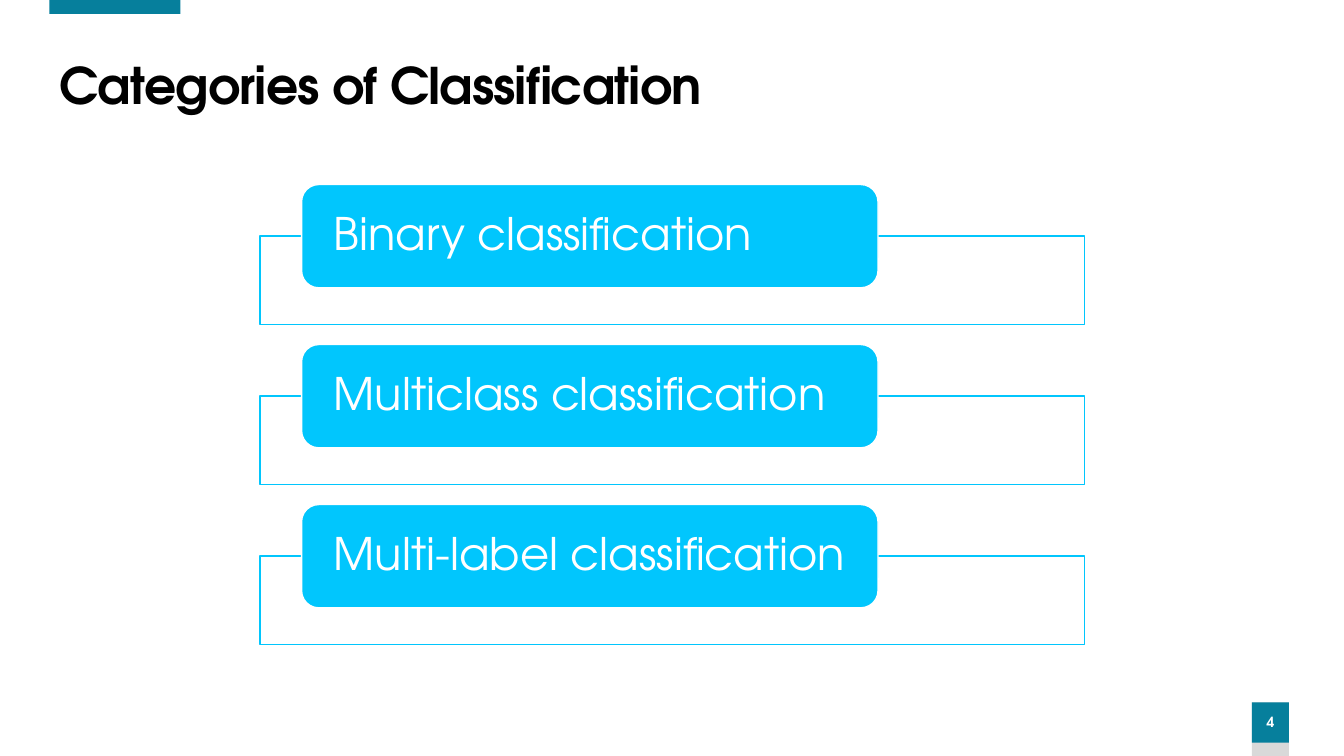
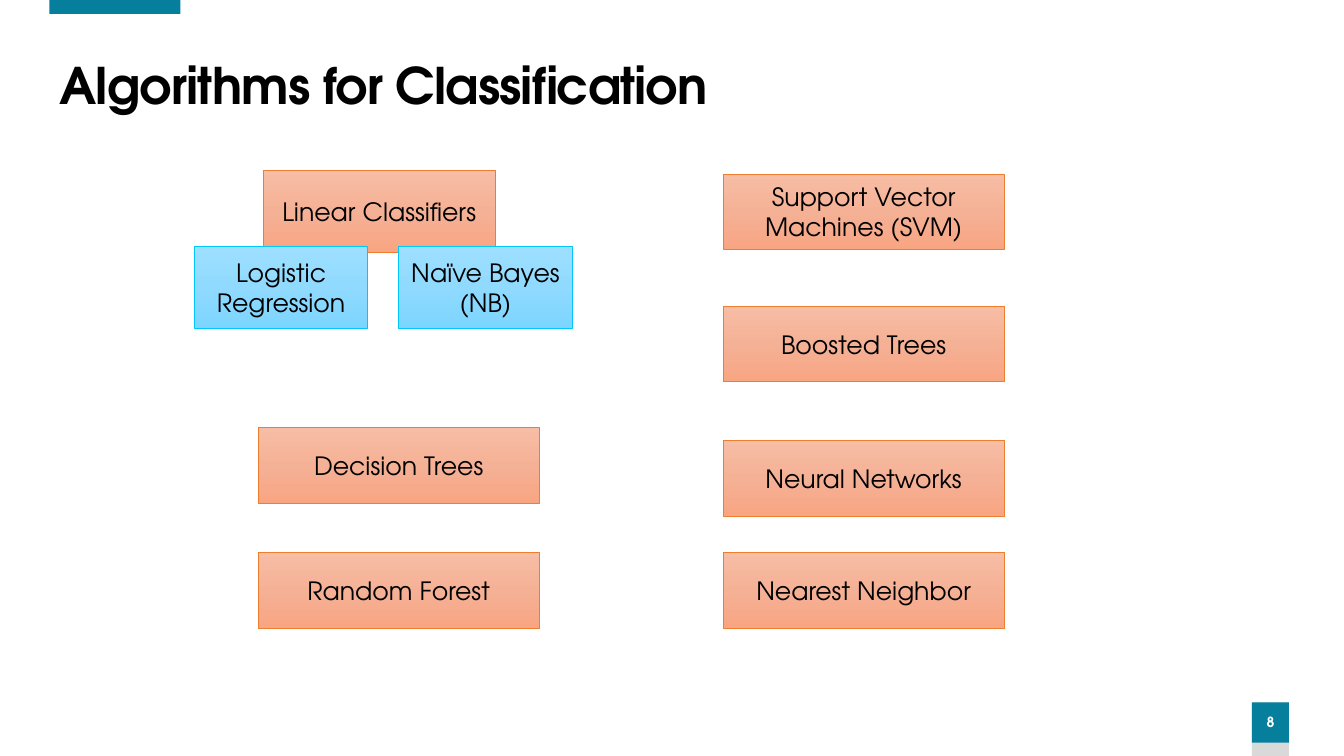
from copy import deepcopy
from dataclasses import dataclass

from lxml.etree import SubElement
from pptx import Presentation
from pptx.dml.color import RGBColor
from pptx.enum.shapes import MSO_SHAPE
from pptx.enum.text import MSO_ANCHOR, MSO_AUTO_SIZE, PP_ALIGN
from pptx.oxml.ns import qn
from pptx.util import Pt


@dataclass(frozen=True)
class Theme:
    font: str = "TeX Gyre Adventor"
    black: str = "000000"
    white: str = "FFFFFF"
    gray: str = "D9D9D9"
    teal: str = "067F9C"
    cyan: str = "01C6FD"
    orange: str = "ED7D31"
    orange_fade: tuple = ("F7BDA5", "F5B196", "F8A582")
    cyan_fade: tuple = ("9EDFFF", "90DAFF", "7CD5FF")
    title_size: int = 36
    category_size: int = 32
    algorithm_size: int = 18
    number_size: int = 10


THEME = Theme()
TITLE_ONLY = 5


def rgb(color):
    return RGBColor.from_string(color)


def write(shape, text, size, color, align=PP_ALIGN.LEFT, bold=False, spacing=None):
    """Put one middle-anchored paragraph in the shape and return it."""
    frame = shape.text_frame
    frame.word_wrap = True
    frame.vertical_anchor = MSO_ANCHOR.MIDDLE
    paragraph = frame.paragraphs[0]
    paragraph.alignment = align
    if spacing:
        paragraph.line_spacing = spacing
    run = paragraph.add_run()
    run.text = text
    font = run.font
    font.name, font.size, font.bold = THEME.font, Pt(size), bold
    font.color.rgb = rgb(color)
    return paragraph


def set_insets(shape, horizontal, vertical):
    frame = shape.text_frame
    frame.margin_left = frame.margin_right = Pt(horizontal)
    frame.margin_top = frame.margin_bottom = Pt(vertical)


def add_box(slide, box, fill=None, line=None, line_width=1, kind=MSO_SHAPE.RECTANGLE):
    """Add a shape at box (left, top, width, height); without a line colour it has no outline."""
    shape = slide.shapes.add_shape(kind, *map(Pt, box))
    shape.shadow.inherit = False
    if fill:
        shape.fill.solid()
        shape.fill.fore_color.rgb = rgb(fill)
    if line:
        shape.line.color.rgb = rgb(line)
        shape.line.width = Pt(line_width)
    else:
        shape.line.fill.background()
    return shape


def set_opacity(shape, percent):
    color = shape._element.spPr.find(qn("a:solidFill"))[0]
    SubElement(color, qn("a:alpha")).set("val", str(percent * 1000))


def fade_down(shape, colors):
    """Fill the shape with three evenly spaced colours from top to bottom."""
    shape.fill.gradient()
    shape.fill.gradient_angle = 270
    stops = shape._element.spPr.find(qn("a:gradFill")).find(qn("a:gsLst"))
    stops.insert(1, deepcopy(stops[0]))
    for index, (stop, color) in enumerate(zip(shape.fill.gradient_stops, colors)):
        stop.position = index / 2
        stop.color.rgb = rgb(color)


def add_titled_slide(prs, title, number):
    slide = prs.slides.add_slide(prs.slide_layouts[TITLE_ONLY])
    add_box(slide, (894.2, 501.8, 26.6, 38.2), THEME.gray)
    number_tag = add_box(slide, (894.2, 501.8, 26.6, 28.8), THEME.teal)
    set_insets(number_tag, 0, 3.6)
    label = write(number_tag, str(number), THEME.number_size, THEME.white,
                  PP_ALIGN.CENTER, bold=True, spacing=0.9)
    label.space_before = Pt(10)
    add_box(slide, (35.3, 0, 93.6, 10), THEME.teal)

    heading = slide.shapes.title
    heading.left, heading.top, heading.width, heading.height = map(Pt, (35.3, 39.6, 879.8, 46.8))
    paragraph = write(heading, title, THEME.title_size, THEME.black, bold=True, spacing=0.9)
    paragraph.runs[0].font._element.set("spc", "-60")
    heading.text_frame.auto_size = MSO_AUTO_SIZE.SHAPE_TO_FIT_TEXT
    return slide


def add_category(slide, name, top):
    """Add a rounded label that overlaps the top edge of a wide frame."""
    frame = add_box(slide, (185.8, top + 36.8, 589, 63.4), THEME.white, THEME.cyan)
    set_opacity(frame, 90)
    label = add_box(slide, (215.4, top, 411.8, 73.8), THEME.cyan, THEME.white,
                    kind=MSO_SHAPE.ROUNDED_RECTANGLE)
    set_insets(label, 19.4, 0)
    write(label, name, THEME.category_size, THEME.white, spacing=0.9)


def add_algorithm(slide, name, box, line=THEME.orange, fade=THEME.orange_fade):
    tile = add_box(slide, box, line=line, line_width=0.5)
    fade_down(tile, fade)
    write(tile, name, THEME.algorithm_size, THEME.black, PP_ALIGN.CENTER)


def build_categories(prs):
    slide = add_titled_slide(prs, "Categories of Classification", 4)
    for row, kind in enumerate(("Binary", "Multiclass", "Multi-label")):
        add_category(slide, f"{kind} classification", 131.8 + row * 114.3)


def build_algorithms(prs):
    slide = add_titled_slide(prs, "Algorithms for Classification", 8)
    add_algorithm(slide, "Linear Classifiers", (188, 121.6, 165.8, 58.6))
    for name, left in (("Logistic Regression", 138.8), ("Naïve Bayes (NB)", 284.8)):
        add_algorithm(slide, name, (left, 175.9, 124, 58.6), THEME.cyan, THEME.cyan_fade)

    left_column, right_column, last_row = 184.3, 516.4, 394.6
    for name, left, top in (
        ("Decision Trees", left_column, 305.4),
        ("Random Forest", left_column, last_row),
        ("Support Vector Machines (SVM)", right_column, 124.2),
        ("Boosted Trees", right_column, 218.7),
        ("Neural Networks", right_column, 314.6),
        ("Nearest Neighbor", right_column, last_row),
    ):
        add_algorithm(slide, name, (left, top, 201, 54))


def main():
    prs = Presentation()
    prs.slide_width, prs.slide_height = Pt(960), Pt(540)
    build_categories(prs)
    build_algorithms(prs)
    prs.save("out.pptx")


if __name__ == "__main__":
    main()
